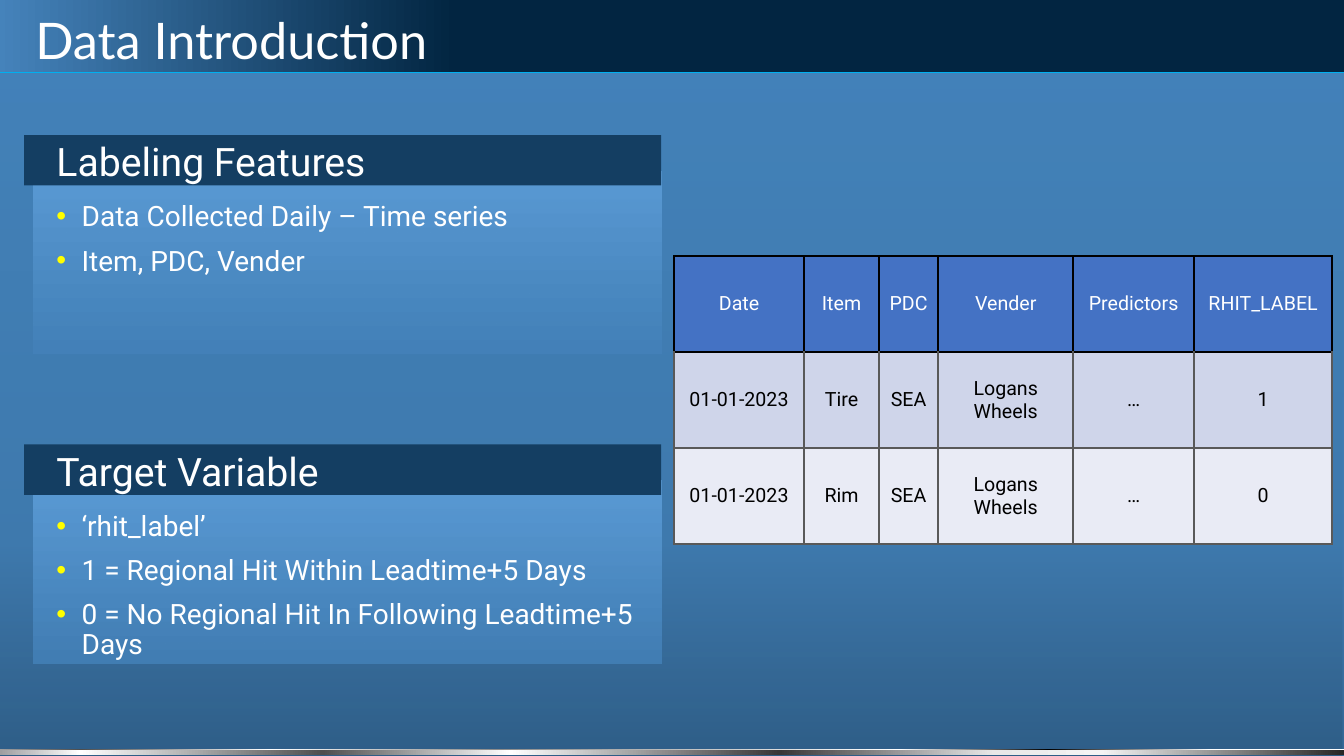
"""Build the Data Introduction slide with two text panels and a sample table."""
import dataclasses
import typing

import lxml.etree
import pptx
import pptx.dml.color
import pptx.enum.shapes
import pptx.enum.text
import pptx.oxml.ns
import pptx.util

Pt = pptx.util.Pt
Align = pptx.enum.text.PP_ALIGN
Anchor = pptx.enum.text.MSO_ANCHOR
qn = pptx.oxml.ns.qn

COLOURS = {
    "page": "4382BA", "page_mid": "3E79AD", "page_low": "2E5C85",
    "sky": "4583BB", "panel": "5B9BD5", "band": "143E62", "navy": "022541",
    "edge": "00B0F0", "white": "FFFFFF", "black": "000000", "bullet": "FFFF00",
    "head": "4472C4", "odd": "CFD5EA", "even": "E9EBF5", "rule": "595959",
    "steel": "9E9EA0", "iron": "4E4E4E", "ash": "8B8B8B", "coal": "383637",
    "silver": "E8E8E8", "pearl": "F4F4F4", "soot": "272624",
}


class Area(typing.NamedTuple):
    left: float
    top: float
    width: float
    height: float


class Stop(typing.NamedTuple):
    percent: int
    colour: str
    opacity: int = 100


@dataclasses.dataclass
class Bar:
    area: Area
    stops: list[Stop]
    angle: int = 0
    edge: str = ""


@dataclasses.dataclass
class Panel:
    heading: str
    items: list[str]
    top: float
    heading_index: int
    list_index: int


BARS = [
    Bar(Area(0, 0, 960, 540),
        [Stop(0, "page", 95), Stop(72, "page_mid"), Stop(100, "page_low", 95)], 270),
    Bar(Area(0, 535.7, 960, 3.9),
        [Stop(0, "steel"), Stop(6, "white"), Stop(24, "iron"), Stop(38, "white"),
         Stop(58, "coal"), Stop(74, "silver"), Stop(82, "pearl"), Stop(100, "soot")]),
    Bar(Area(0, 535.1, 960, 0.7),
        [Stop(0, "steel"), Stop(6, "iron"), Stop(20, "white"), Stop(37, "ash"),
         Stop(67, "white"), Stop(78, "black"), Stop(90, "white")]),
    Bar(Area(-1.5, -1.5, 963, 53.5), [Stop(0, "sky"), Stop(34, "navy")], edge="edge"),
]
PANELS = [
    Panel("Labeling Features",
          ["Data Collected Daily – Time series", "Item, PDC, Vender"], 96.5, 1, 2),
    Panel("Target Variable",
          ["‘rhit_label’", "1 = Regional Hit Within Leadtime+5 Days",
           "0 = No Regional Hit In Following Leadtime+5 Days"], 317.5, 3, 4),
]
TABLE_ROWS = [
    ["Date", "Item", "PDC", "Vender", "Predictors", "RHIT_LABEL"],
    ["01-01-2023", "Tire", "SEA", "Logans Wheels", "…", "1"],
    ["01-01-2023", "Rim", "SEA", "Logans Wheels", "…", "0"],
]
COLUMN_WIDTHS = [92.9, 53.5, 42.3, 96.5, 86.3, 98.7]
ROW_HEIGHT = 68.5


def rgb(name: str) -> pptx.dml.color.RGBColor:
    """Return the named colour."""
    return pptx.dml.color.RGBColor.from_string(COLOURS[name])


def points(area: Area) -> list[pptx.util.Length]:
    """Convert an area to lengths."""
    return [Pt(value) for value in area]


def add_box(page, area: Area, edge: str = ""):
    """Add a rectangle without shadow."""
    box = page.shapes.add_shape(pptx.enum.shapes.MSO_SHAPE.RECTANGLE, *points(area))
    box.shadow.inherit = False
    if edge:
        box.line.color.rgb = rgb(edge)
        box.line.width = Pt(0.5)
    else:
        box.line.fill.background()
    return box


def add_bar(page, bar: Bar) -> None:
    """Add a rectangle with a linear gradient."""
    box = add_box(page, bar.area, bar.edge)
    box.fill.gradient()
    box.fill.gradient_angle = bar.angle
    stop_list = box.element.spPr.find(".//" + qn("a:gsLst"))
    for old in list(stop_list):
        stop_list.remove(old)
    for stop in bar.stops:
        node = lxml.etree.SubElement(stop_list, qn("a:gs"), pos=str(stop.percent * 1000))
        colour = lxml.etree.SubElement(node, qn("a:srgbClr"), val=COLOURS[stop.colour])
        if stop.opacity < 100:
            lxml.etree.SubElement(colour, qn("a:alpha"), val=str(stop.opacity * 1000))


def set_font(para, name: str, size: float, colour: str) -> None:
    """Format the whole paragraph."""
    para.font.name = name
    para.font.size = Pt(size)
    para.font.bold = False
    para.font.color.rgb = rgb(colour)


def add_bullet(para) -> None:
    """Give a paragraph a coloured hanging bullet."""
    properties = para._p.get_or_add_pPr()
    properties.set("marL", str(Pt(18)))
    properties.set("indent", str(-Pt(18)))
    colour = lxml.etree.SubElement(properties, qn("a:buClr"))
    lxml.etree.SubElement(colour, qn("a:srgbClr"), val=COLOURS["bullet"])
    lxml.etree.SubElement(properties, qn("a:buFont"), typeface="Arial")
    lxml.etree.SubElement(properties, qn("a:buChar"), char="•")


def fill_placeholder(page, holder, area: Area, lines: list[str], name: str, size: float,
                     anchor: Anchor = Anchor.TOP, bullets: bool = False) -> None:
    """Move a placeholder to the front and write its lines."""
    page.shapes.element.append(holder.element)
    holder.left, holder.top, holder.width, holder.height = points(area)
    frame = holder.text_frame
    frame.text = "\n".join(lines)
    frame.word_wrap = True
    frame.auto_size = pptx.enum.text.MSO_AUTO_SIZE.NONE
    frame.vertical_anchor = anchor
    for number, para in enumerate(frame.paragraphs):
        para.alignment = Align.LEFT
        para.line_spacing = 0.9
        para.space_before = Pt(10 if number else 0)
        if bullets:
            add_bullet(para)
        set_font(para, name, size, "white")


def add_panel(page, panel: Panel) -> None:
    """Add a panel with its heading and list."""
    add_bar(page, Bar(Area(23.8, panel.top + 25.9, 448.6, 130.3),
                      [Stop(0, "panel"), Stop(100, "sky", 80)], 270))
    band = add_box(page, Area(17.3, panel.top, 455, 36))
    band.fill.solid()
    band.fill.fore_color.rgb = rgb("band")
    holders = {holder.placeholder_format.idx: holder for holder in page.placeholders}
    fill_placeholder(page, holders[panel.heading_index],
                     Area(33.1, panel.top + 2.1, 427, 34.6), [panel.heading], "Roboto", 28)
    fill_placeholder(page, holders[panel.list_index],
                     Area(33.1, panel.top + 44.6, 440, 117.4), panel.items,
                     "Roboto", 20, bullets=True)


def set_borders(cell, sides: dict[str, str]) -> None:
    """Draw the cell borders ahead of its fill."""
    properties = cell._tc.get_or_add_tcPr()
    for position, (side, colour) in enumerate(sides.items()):
        line = lxml.etree.Element(qn("a:" + side), w=str(Pt(1.5)))
        solid = lxml.etree.SubElement(line, qn("a:solidFill"))
        lxml.etree.SubElement(solid, qn("a:srgbClr"), val=COLOURS[colour])
        properties.insert(position, line)


def add_sample_table(page) -> None:
    """Add the table of sample records."""
    area = Area(481.5, 183, sum(COLUMN_WIDTHS), ROW_HEIGHT * len(TABLE_ROWS))
    table = page.shapes.add_table(len(TABLE_ROWS), len(COLUMN_WIDTHS), *points(area)).table
    table.horz_banding = False
    for column, width in zip(table.columns, COLUMN_WIDTHS):
        column.width = Pt(width)
    for number, (row, texts) in enumerate(zip(table.rows, TABLE_ROWS)):
        row.height = Pt(ROW_HEIGHT)
        side = "rule" if number else "black"
        upper = "rule" if number > 1 else "black"
        for cell, text in zip(row.cells, texts):
            cell.text = text
            cell.vertical_anchor = Anchor.MIDDLE
            cell.fill.solid()
            cell.fill.fore_color.rgb = rgb(["head", "odd", "even"][number])
            set_borders(cell, {"lnL": side, "lnR": side, "lnT": upper, "lnB": side})
            para = cell.text_frame.paragraphs[0]
            para.alignment = Align.CENTER
            set_font(para, "Roboto", 14, "black" if number else "white")


def main() -> None:
    """Build and save the deck."""
    deck = pptx.Presentation()
    deck.slide_width, deck.slide_height = Pt(960), Pt(540)
    page = deck.slides.add_slide(deck.slide_layouts.get_by_name("Comparison"))
    page.background.fill.solid()
    page.background.fill.fore_color.rgb = rgb("page")
    for bar in BARS:
        add_bar(page, bar)
    fill_placeholder(page, page.shapes.title, Area(18, 7.2, 671, 46.8),
                     ["Data Introduction"], "Lato", 36, Anchor.MIDDLE)
    for panel in PANELS:
        add_panel(page, panel)
    add_sample_table(page)
    deck.save("out.pptx")


if __name__ == "__main__":
    main()
